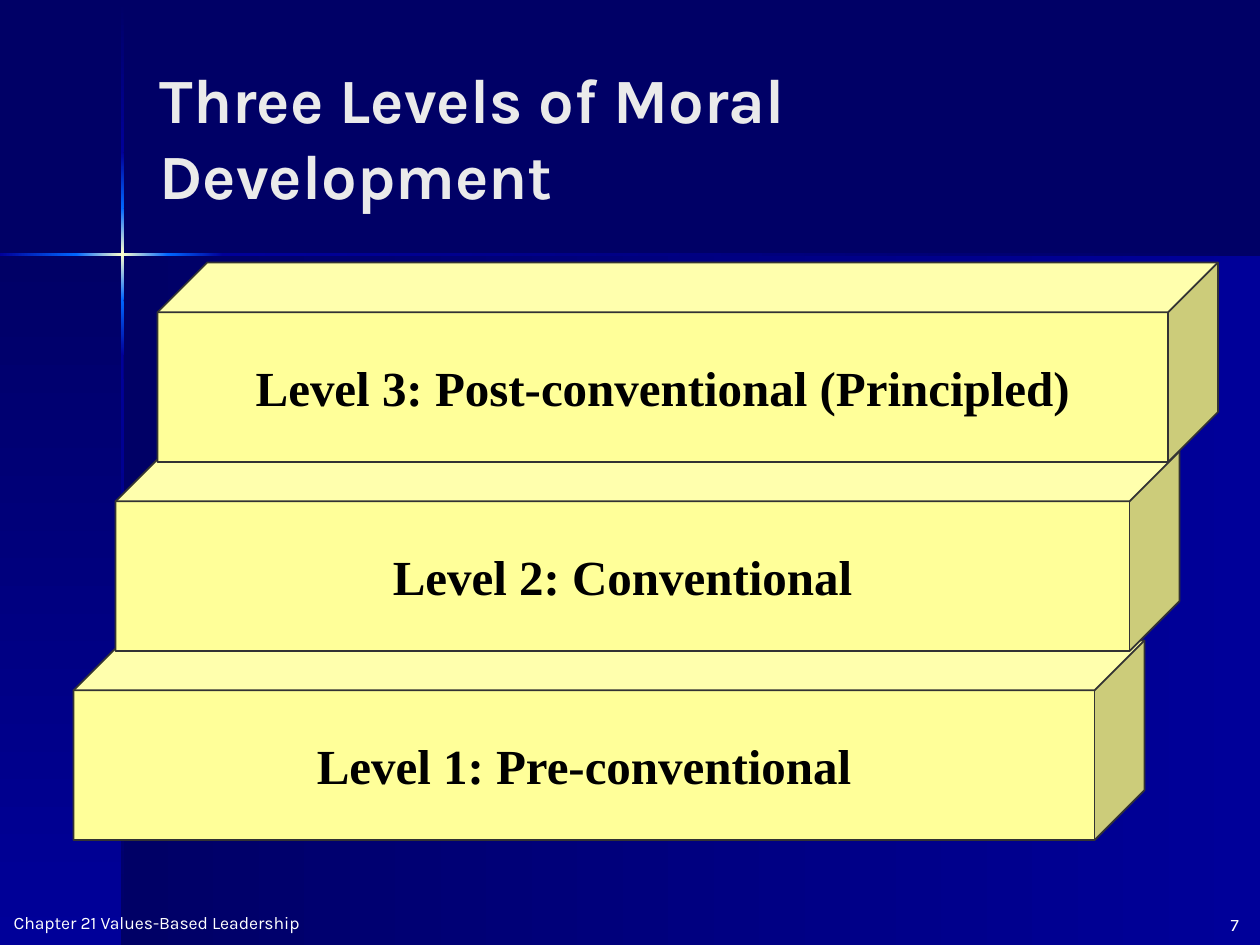
import copy
import itertools
import pptx
import pptx.util
import pptx.dml.color
import pptx.enum.shapes
import pptx.enum.text

Pt = pptx.util.Pt
RGB = pptx.dml.color.RGBColor.from_string
SHAPE = pptx.enum.shapes.MSO_SHAPE
ALIGN = pptx.enum.text.PP_ALIGN
ANCHOR = pptx.enum.text.MSO_ANCHOR

THEME = {
    "night": "000066", "royal": "000099", "azure": "0066FF", "cream": "FFFFCC",
    "step": "FFFF99", "edge": "333333", "ink": "000000",
    "head": "EAEAEA", "note": "FFFFFF",
    "sans": "Karla", "serif": "Times New Roman",
    "title": 36, "label": 28, "small": 10,
}

# Content
TITLE = "Three Levels of Moral Development"
FOOTER = "Chapter 21 Values-Based Leadership"
NUMBER = "7"
STEPS = [  # text, width; bottom step first
    ("Level 1: Pre-conventional", 612),
    ("Level 2: Conventional", 608),
    ("Level 3: Post-conventional (Principled)", 606),
]

# Geometry
WIDE, HIGH = 720, 540
CROSS_X, CROSS_Y, THIN = 69.9, 145.5, 1.5
STEP_X, STEP_Y, STEP_H = 42, 366, 114
SHIFT, RISE = 24, 108

# Rays: edges, then the colours between each pair of edges
GLOW = [("royal", "azure"), ("azure", "cream", "azure"),
        ("azure", "royal"), ("royal", "night")]
ACROSS = ([0, 43.5, 96, 127.5, WIDE], GLOW)
DOWN = ([0.7, 87, 118.8, 171.4, 203, HIGH], [("night", "royal")] + GLOW)


def write(shape, text, size, color, font="sans", bold=False,
          align=ALIGN.LEFT, anchor=ANCHOR.TOP, wrap=True):
    frame = shape.text_frame
    frame.word_wrap = wrap
    frame.auto_size = pptx.enum.text.MSO_AUTO_SIZE.NONE
    frame.vertical_anchor = anchor
    para = frame.paragraphs[0]
    para.alignment = align
    run = para.add_run()
    run.text = text
    run.font.name = THEME[font]
    run.font.size = Pt(THEME[size])
    run.font.bold = bold
    run.font.color.rgb = RGB(THEME[color])


def add_block(slide, kind, x, y, w, h):
    block = slide.shapes.add_shape(kind, Pt(x), Pt(y), Pt(w), Pt(h))
    block.shadow.inherit = False
    return block


def add_fade(slide, x, y, w, h, names, down):
    """Add a borderless rectangle that fades rightward or downward."""
    block = add_block(slide, SHAPE.RECTANGLE, x, y, w, h)
    block.line.fill.background()
    block.fill.gradient()
    block.fill.gradient_angle = 270 if down else 0
    stops = block._element.spPr.xpath(".//a:gs")
    for _ in names[2:]:
        stops[0].addnext(copy.deepcopy(stops[0]))
    for i, (stop, name) in enumerate(zip(block.fill.gradient_stops, names)):
        stop.color.rgb = RGB(THEME[name])
        stop.color.brightness = 0
        stop.position = i / (len(names) - 1)


def add_note(slide, x, y, w, h, text, **form):
    box = slide.shapes.add_textbox(Pt(x), Pt(y), Pt(w), Pt(h))
    write(box, text, "small", "note", **form)


def main():
    deck = pptx.Presentation()
    deck.slide_width, deck.slide_height = Pt(WIDE), Pt(HIGH)
    slide = deck.slides.add_slide(deck.slide_layouts[5])
    slide.background.fill.solid()
    slide.background.fill.fore_color.rgb = RGB(THEME["night"])

    # Backdrop panels
    low = HIGH - CROSS_Y
    add_fade(slide, CROSS_X, CROSS_Y, WIDE - CROSS_X, low, ("night", "royal"), False)
    add_fade(slide, 0, CROSS_Y, CROSS_X, low, ("night", "royal"), True)

    # Crossing rays of light
    for (edges, colors), down in ((DOWN, True), (ACROSS, False)):
        for (start, end), names in zip(itertools.pairwise(edges), colors):
            if down:
                spot = (CROSS_X - THIN / 2, start, THIN, end - start)
            else:
                spot = (start, CROSS_Y - THIN / 2, end - start, THIN)
            add_fade(slide, *spot, names, down)

    # Title
    title = slide.shapes.title
    title.left, title.top, title.width, title.height = Pt(84), Pt(24), Pt(594), Pt(108)
    write(title, TITLE, "title", "head", bold=True, anchor=ANCHOR.MIDDLE)

    # Steps, from the bottom up
    for i, (text, width) in enumerate(STEPS):
        step = add_block(slide, SHAPE.CUBE, STEP_X + i * SHIFT,
                         STEP_Y - i * RISE, width, STEP_H)
        step.adjustments[0] = 0.25
        step.fill.solid()
        step.fill.fore_color.rgb = RGB(THEME["step"])
        step.line.color.rgb = RGB(THEME["edge"])
        step.line.width = Pt(1)
        write(step, text, "label", "ink", font="serif", bold=True,
              align=ALIGN.CENTER, anchor=ANCHOR.MIDDLE, wrap=False)

    # Footer and page number
    add_note(slide, 0.75, 517.5, 228, 21, FOOTER)
    add_note(slide, 565, 519, 150, 14, NUMBER, align=ALIGN.RIGHT)

    deck.save("out.pptx")


if __name__ == "__main__":
    main()
